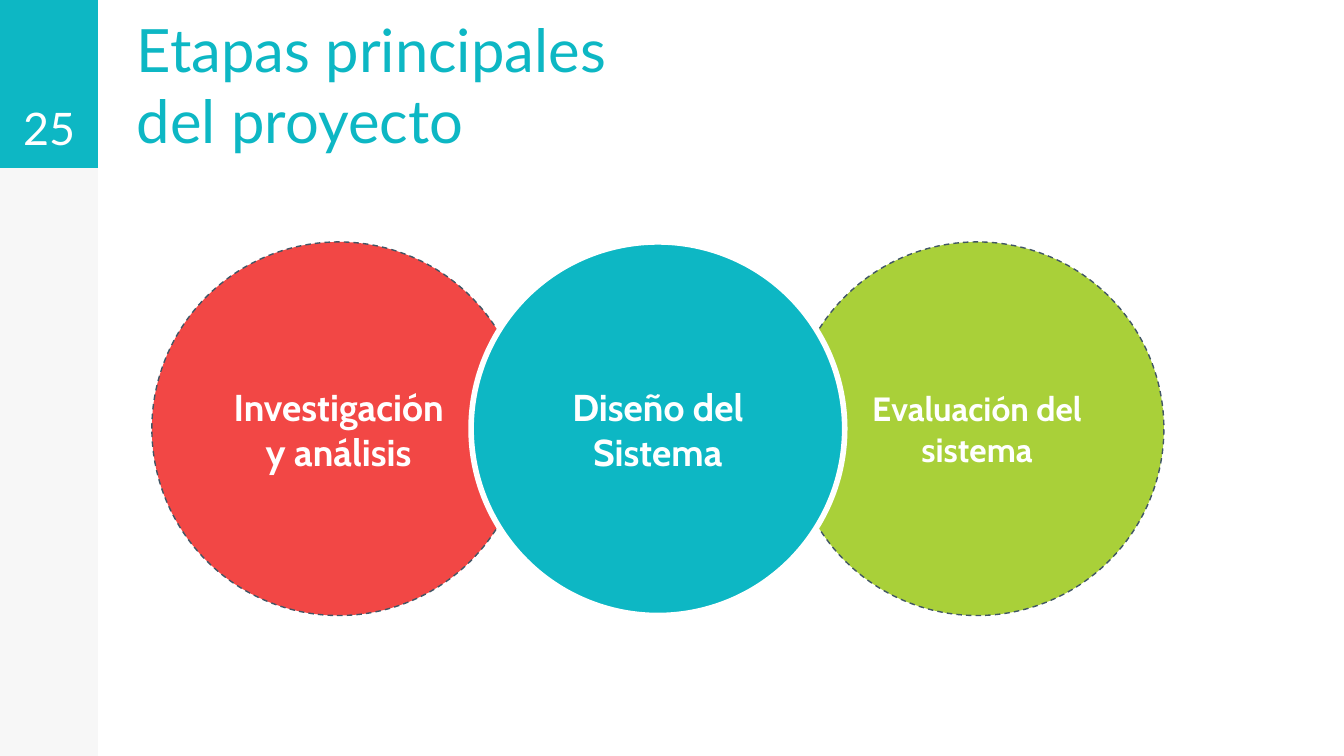
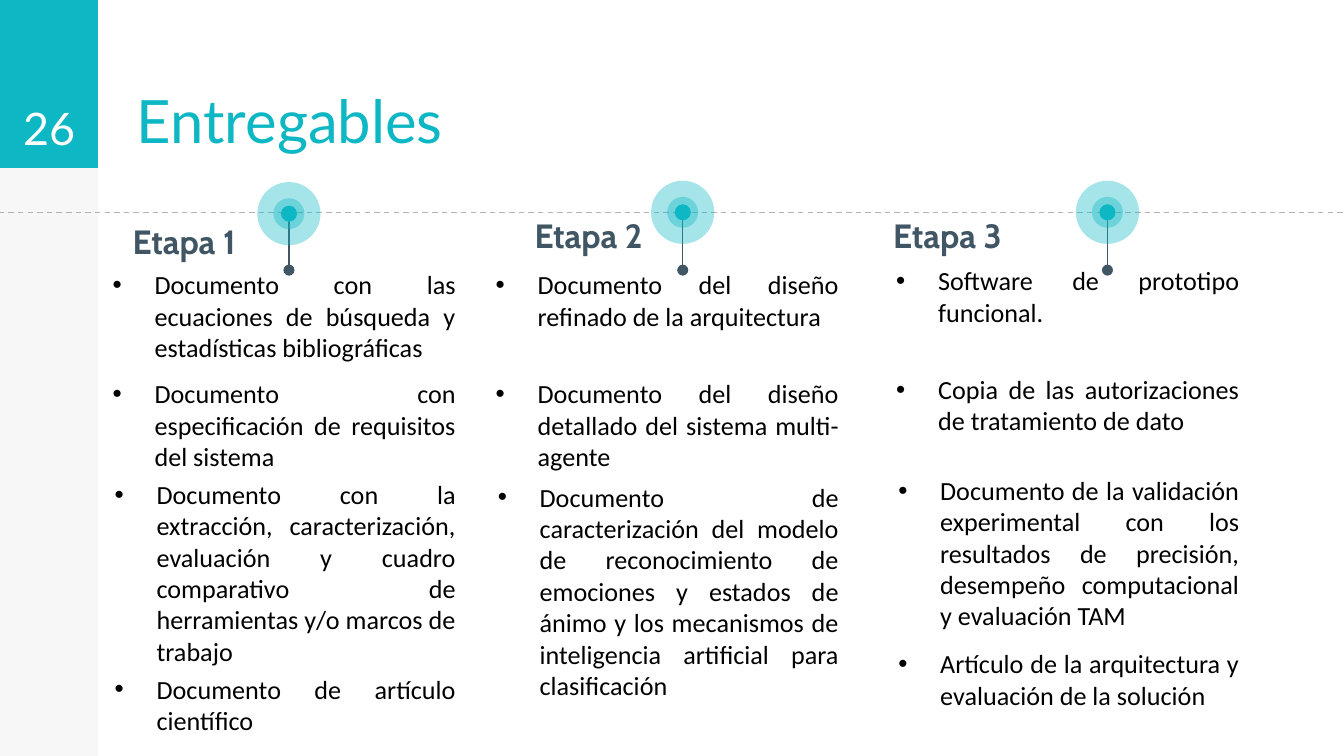
import pptx
import pptx.util
import pptx.dml.color
import pptx.enum.dml
import pptx.enum.shapes
import pptx.enum.text
import pptx.oxml.ns
from lxml import etree

TEAL, RED, GREEN, SLATE = "0DB7C4", "F24745", "A9D039", "415665"
WHITE, BLACK, GREY = "FFFFFF", "000000", "B3B3B3"
RECT = pptx.enum.shapes.MSO_SHAPE.RECTANGLE
OVAL = pptx.enum.shapes.MSO_SHAPE.OVAL
STRAIGHT = pptx.enum.shapes.MSO_CONNECTOR.STRAIGHT
ALIGN = pptx.enum.text.PP_ALIGN
ANCHOR = pptx.enum.text.MSO_ANCHOR
DASH = pptx.enum.dml.MSO_LINE.DASH
rgb = pptx.dml.color.RGBColor.from_string
qn = pptx.oxml.ns.qn

prs = pptx.Presentation()
prs.slide_width = pptx.util.Inches(10)
prs.slide_height = pptx.util.Inches(5.625)
CELL = prs.slide_width // 100  # square grid: 100 columns, 56.25 rows
BAND, HEADER, ROWS = 7.3, 12.5, 56.25


def add_block(shapes, kind, box, fill, opacity=100):
    """Add an unoutlined shape; box is left, top, width, height in cells."""
    sp = shapes.add_shape(kind, *[round(v * CELL) for v in box])
    sp.shadow.inherit = False
    sp.line.fill.background()
    sp.fill.solid()
    sp.fill.fore_color.rgb = rgb(fill)
    if opacity < 100:
        color = sp.fill._xPr.find(".//" + qn("a:srgbClr"))
        etree.SubElement(color, qn("a:alpha"), val=str(opacity * 1000))
    return sp


def write(sp, text, size, font, color, align, anchor=ANCHOR.TOP, bold=False, inset=1):
    """Set the text of a shape; inset is the top and bottom margin in cells."""
    tf = sp.text_frame
    tf.text = text
    tf.word_wrap = True
    tf.vertical_anchor = anchor
    tf.margin_left = tf.margin_right = CELL
    tf.margin_top = tf.margin_bottom = round(inset * CELL)
    p = tf.paragraphs[0]
    p.alignment = align
    r = p.runs[0]
    r.font.size = pptx.util.Pt(size)
    r.font.name = font
    r.font.bold = bold
    r.font.color.rgb = rgb(color)
    return p


# Shared frame: side band, numbered header block and title
slides = []
for number, title in (("25", "Etapas principales del proyecto"), ("26", "Entregables")):
    s = prs.slides.add_slide(prs.slide_layouts[6])
    add_block(s.shapes, RECT, (0, 0, BAND, ROWS), BLACK, 3)
    sp = add_block(s.shapes, RECT, (0, 0, BAND, HEADER), TEAL)
    write(sp, number, 24, "Lato", WHITE, ALIGN.CENTER, ANCHOR.BOTTOM)
    sp = s.shapes.add_textbox(*[round(v * CELL) for v in (9.2, 0.1, 38.9, HEADER)])
    write(sp, title, 32, "Lato", TEAL, ALIGN.LEFT, ANCHOR.BOTTOM)
    slides.append(s)
stages, deliverables = slides

# Stages: overlapping circles, the middle one in front
for column, label, fill, size in (
    (0, "Investigación y análisis", RED, 20),
    (2, "Evaluación del sistema", GREEN, 18),
    (1, "Diseño del Sistema", TEAL, 20),
):
    sp = add_block(stages.shapes, OVAL, (11.3 + 23.75 * column, 18, 27.8, 27.8), fill)
    in_front = column == 1
    sp.line.color.rgb = rgb(WHITE if in_front else SLATE)
    sp.line.width = pptx.util.Pt(3 if in_front else 0.75)
    if not in_front:
        sp.line.dash_style = DASH
    write(sp, label, size, "Cabin", WHITE, ALIGN.CENTER, ANCHOR.MIDDLE, True)

# Deliverables: a dashed timeline with one pin per stage
PINS = ((21.5, 15.9), (50.8, 15.8), (82.4, 15.8))
timeline = (-0.1, 15.8, 100.1, 15.8)
for ends in [timeline] + [(x, y, x, 20.1) for x, y in PINS]:
    line = deliverables.shapes.add_connector(STRAIGHT, *[round(v * CELL) for v in ends])
    line.line.width = pptx.util.Pt(0.75)
    line.line.color.rgb = rgb(GREY if ends == timeline else SLATE)
    if ends == timeline:
        line.line.dash_style = DASH
    else:
        for end in ("a:headEnd", "a:tailEnd"):
            etree.SubElement(line.line._get_or_add_ln(), qn(end), type="oval")
    etree.SubElement(line._element.spPr, qn("a:effectLst"))

for x, y in PINS:
    target = deliverables.shapes.add_group_shape()
    for d, opacity in ((4.7, 37), (2.3, 37), (1.2, 100)):
        add_block(target.shapes, OVAL, (x - d / 2, y - d / 2, d, d), TEAL, opacity)

# Each stage: heading position, list left edge, items with their top and height
COLUMNS = (
    ("Etapa 1", 6.9, 15.4, 7.4, (
        (19.5, 8.1, "Documento con las ecuaciones de búsqueda y estadísticas bibliográficas"),
        (27.6, 8.1, "Documento con especificación de requisitos del sistema"),
        (35.1, 15.1, "Documento con la extracción, caracterización, evaluación y cuadro "
                     "comparativo de herramientas y/o marcos de trabajo"),
        (49.6, 5.7, "Documento de artículo científico"),
    )),
    ("Etapa 2", 37, 15, 35.9, (
        (19.5, 5.7, "Documento del diseño refinado de la arquitectura"),
        (27.6, 8.1, "Documento del diseño detallado del sistema multi-agente"),
        (35.3, 17.5, "Documento de caracterización del modelo de reconocimiento de "
                     "emociones y estados de ánimo y los mecanismos de inteligencia "
                     "artificial para clasificación"),
    )),
    ("Etapa 3", 63.7, 15, 65.7, (
        (19.2, 5.7, "Software de prototipo funcional."),
        (27.3, 5.7, "Copia de las autorizaciones de tratamiento de dato"),
        (34.8, 12.8, "Documento de la validación experimental con los resultados de "
                     "precisión, desempeño computacional y evaluación TAM"),
        (47.7, 5.7, "Artículo de la arquitectura y evaluación de la solución"),
    )),
)
INDENT = round(3.12 * CELL)
for heading, heading_x, heading_y, left, items in COLUMNS:
    box = (heading_x, heading_y, 13.6, 4.5)
    sp = deliverables.shapes.add_textbox(*[round(v * CELL) for v in box])
    write(sp, heading, 18, "Cabin", SLATE, ALIGN.CENTER, bold=True)
    for row, (top, height, item) in enumerate(items):
        shift = 0.15 if row > 1 else 0  # lower items sit slightly to the right
        box = (left + shift, top, 27.5 - shift, height)
        sp = deliverables.shapes.add_textbox(*[round(v * CELL) for v in box])
        p = write(sp, item, 14, "Calibri", BLACK, ALIGN.JUSTIFY, inset=0.5)
        sp.text_frame.auto_size = pptx.enum.text.MSO_AUTO_SIZE.SHAPE_TO_FIT_TEXT
        pPr = p._p.get_or_add_pPr()
        pPr.set("marL", str(INDENT))
        pPr.set("indent", str(-INDENT))
        etree.SubElement(pPr, qn("a:buFont"), typeface="Arial")
        etree.SubElement(pPr, qn("a:buChar"), char="•")

prs.save("out.pptx")
